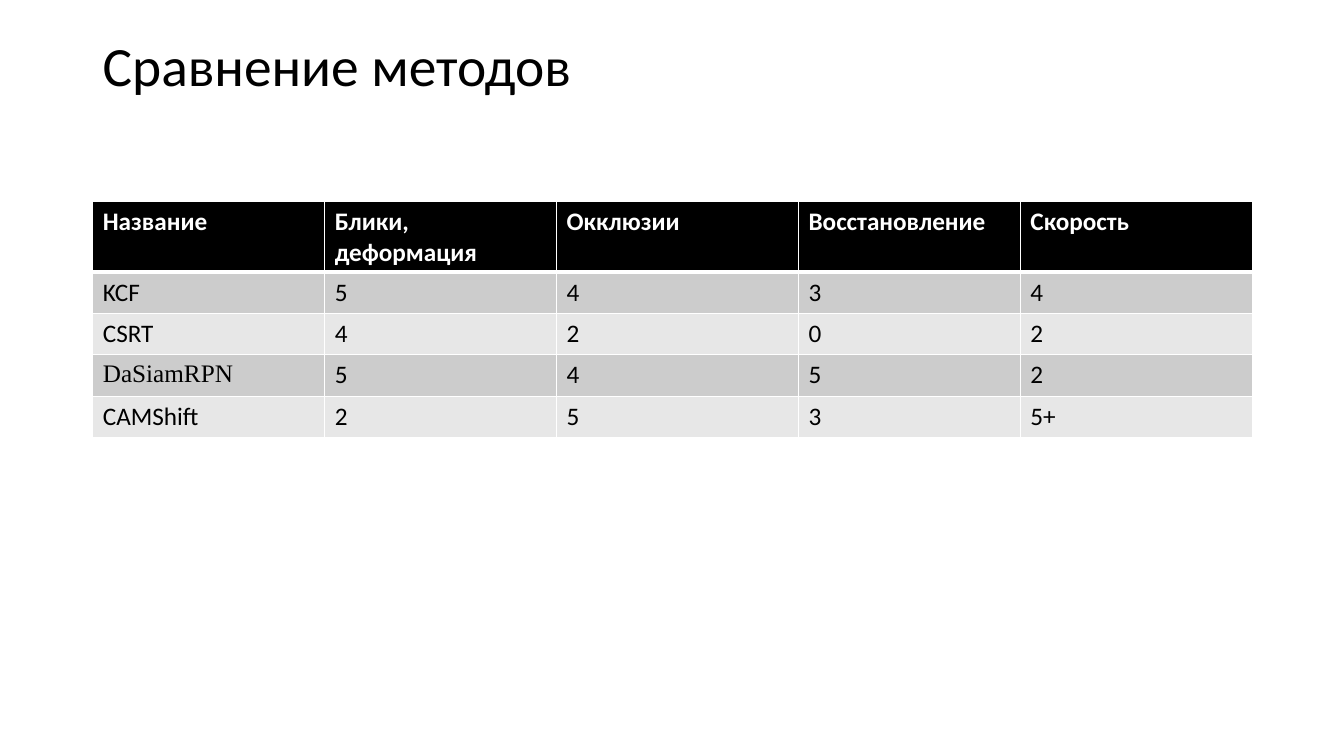
from lxml.etree import SubElement
from pptx import Presentation
from pptx.dml.color import RGBColor
from pptx.enum.text import MSO_ANCHOR as Anchor
from pptx.oxml.ns import qn
from pptx.util import Inches, Pt

BLACK, WHITE = "000000", "FFFFFF"
BANDS = ("CCCCCC", "E7E7E7")


def color(hex_code):
    return RGBColor.from_string(hex_code)


class SlideBuilder:
    font = "Calibri"
    title_size = 39.6
    table_size = 18

    def __init__(self, slide):
        self.slide = slide

    def style(self, paragraph, size, hex_code, bold=False, font=None):
        for run in paragraph.runs:
            run.font.name = font or self.font
            run.font.size = Pt(size)
            run.font.bold = bold
            run.font.color.rgb = color(hex_code)

    def title(self, text, left, top, width, height):
        box = self.slide.shapes.add_textbox(
            Inches(left), Inches(top), Inches(width), Inches(height))
        frame = box.text_frame
        frame.word_wrap = True
        frame.vertical_anchor = Anchor.MIDDLE
        frame.text = text
        frame.paragraphs[0].line_spacing = 0.9
        self.style(frame.paragraphs[0], self.title_size, BLACK)

    def borders(self, cell, top, bottom):
        properties = cell._tc.get_or_add_tcPr()
        for side, points in (("L", 1), ("R", 1), ("T", top), ("B", bottom)):
            line = SubElement(properties, qn(f"a:ln{side}"), w=str(Pt(points)))
            fill = SubElement(line, qn("a:solidFill"))
            SubElement(fill, qn("a:srgbClr"), val=WHITE)

    def table(self, rows, left, top, widths, heights, special_fonts):
        table = self.slide.shapes.add_table(
            len(rows), len(widths), Inches(left), Inches(top),
            Inches(sum(widths)), Inches(sum(heights))).table
        for column, width in zip(table.columns, widths):
            column.width = Inches(width)
        for r, (values, height) in enumerate(zip(rows, heights)):
            table.rows[r].height = Inches(height)
            header = r == 0
            for c, value in enumerate(values):
                cell = table.cell(r, c)
                cell.text_frame.text = value
                self.style(cell.text_frame.paragraphs[0], self.table_size,
                           WHITE if header else BLACK, header,
                           special_fonts.get(value))
                # A thick rule separates the header from the body
                self.borders(cell, 3 if r == 1 else 1, 3 if header else 1)
                cell.fill.solid()
                cell.fill.fore_color.rgb = color(
                    BLACK if header else BANDS[(r - 1) % 2])


deck = Presentation()
deck.slide_width, deck.slide_height = Inches(13.33), Inches(7.5)
comparison = SlideBuilder(deck.slides.add_slide(deck.slide_layouts[6]))

# Heading
comparison.title("Сравнение методов", 0.92, 0.38, 11.5, 0.6)

# Scores of the tracking methods
scores = [
    ("Название", "Блики, деформация", "Окклюзии", "Восстановление", "Скорость"),
    ("KCF", "5", "4", "3", "4"),
    ("CSRT", "4", "2", "0", "2"),
    ("DaSiamRPN", "5", "4", "5", "2"),
    ("CAMShift", "2", "5", "3", "5+"),
]
comparison.table(scores, 0.92, 2, widths=(2.3, 2.3, 2.4, 2.2, 2.3),
                 heights=[0.7] + [0.41] * 4,
                 special_fonts={"DaSiamRPN": "Times New Roman"})

deck.save("out.pptx")
